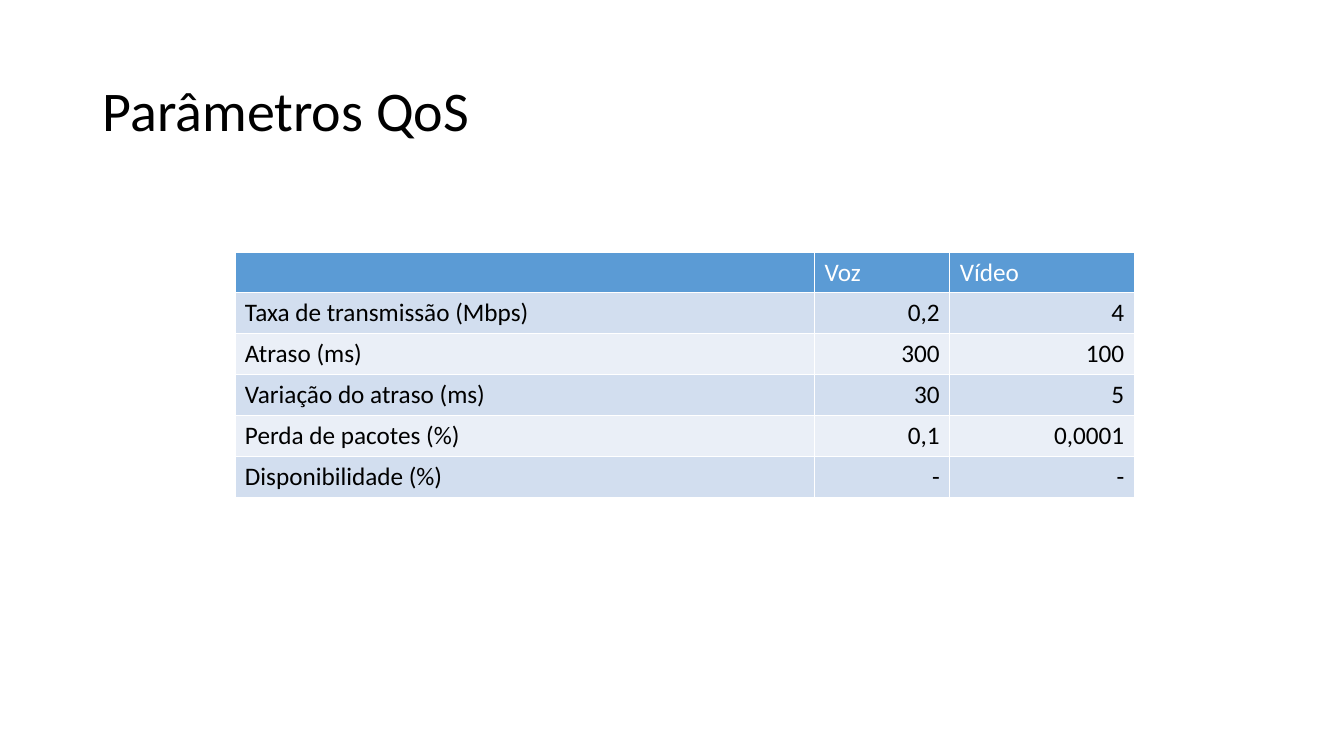
from lxml.etree import SubElement
from pptx import Presentation
from pptx.dml.color import RGBColor
from pptx.enum.text import MSO_ANCHOR, PP_ALIGN
from pptx.oxml.ns import qn
from pptx.util import Inches, Pt

COLORS = {
    "text": "000000",
    "white": "FFFFFF",
    "header": "5B9BD5",
    "odd": "D2DEEF",
    "even": "EAEFF7",
}
FONT = "Calibri"
COLUMN_WIDTHS = (5.75, 1.34, 1.83)
QOS_ROWS = (
    ("", "Voz", "Vídeo"),
    ("Taxa de transmissão (Mbps)", "0,2", "4"),
    ("Atraso (ms)", "300", "100"),
    ("Variação do atraso (ms)", "30", "5"),
    ("Perda de pacotes (%)", "0,1", "0,0001"),
    ("Disponibilidade (%)", "-", "-"),
)


def format_paragraph(para, size, color, align=PP_ALIGN.LEFT):
    """Set the font, colour and alignment of a paragraph."""
    para.alignment = align
    para.font.name = FONT
    para.font.size = Pt(size)
    para.font.bold = False
    para.font.color.rgb = RGBColor.from_string(COLORS[color])


def add_borders(cell):
    """Draw thin white lines on all four sides of a cell."""
    properties = cell._tc.get_or_add_tcPr()
    for side in ("a:lnL", "a:lnR", "a:lnT", "a:lnB"):
        line = SubElement(properties, qn(side), w=str(Pt(1)))
        fill = SubElement(line, qn("a:solidFill"))
        SubElement(fill, qn("a:srgbClr"), val=COLORS["white"])


def fill_cell(cell, text, fill, color, align):
    """Write and colour one table cell."""
    cell.text = text
    format_paragraph(cell.text_frame.paragraphs[0], 18, color, align)
    add_borders(cell)
    cell.fill.solid()
    cell.fill.fore_color.rgb = RGBColor.from_string(COLORS[fill])


def set_title(page, text):
    """Place and format the slide title."""
    title = page.shapes.title
    title.left, title.top = Inches(0.92), Inches(0.4)
    title.width, title.height = Inches(11.5), Inches(1.45)
    title.text = text
    title.text_frame.vertical_anchor = MSO_ANCHOR.MIDDLE
    para = title.text_frame.paragraphs[0]
    para.line_spacing = 0.9
    format_paragraph(para, 40, "text")


def add_qos_table(page):
    """Add the table of QoS parameters with banded rows."""
    table = page.shapes.add_table(
        len(QOS_ROWS), len(COLUMN_WIDTHS),
        Inches(2.33), Inches(2.5), Inches(sum(COLUMN_WIDTHS)), Inches(2.43),
    ).table
    for column, width in zip(table.columns, COLUMN_WIDTHS):
        column.width = Inches(width)
    for row, texts in enumerate(QOS_ROWS):
        is_header = row == 0
        fill = "header" if is_header else "odd" if row % 2 else "even"
        color = "white" if is_header else "text"
        for column, text in enumerate(texts):
            is_value = column > 0 and not is_header
            align = PP_ALIGN.RIGHT if is_value else PP_ALIGN.LEFT
            fill_cell(table.cell(row, column), text, fill, color, align)


def main():
    """Build the slide and save the deck."""
    deck = Presentation()
    deck.slide_width, deck.slide_height = Inches(13.33), Inches(7.5)
    page = deck.slides.add_slide(deck.slide_layouts[5])
    set_title(page, "Parâmetros QoS")
    add_qos_table(page)
    deck.save("out.pptx")


if __name__ == "__main__":
    main()
